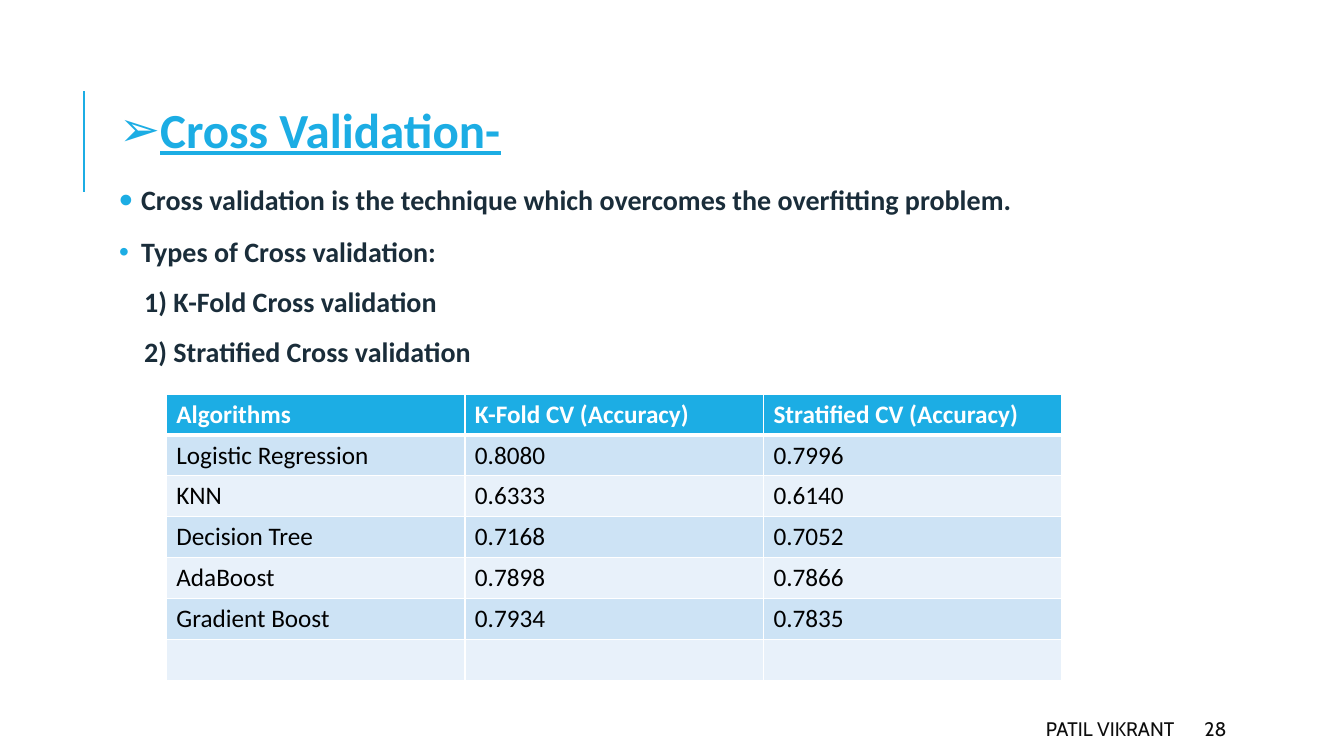
"""Build the cross validation slide with its accuracy table."""

from dataclasses import dataclass

from lxml.etree import SubElement
from pptx import Presentation
from pptx.dml.color import RGBColor
from pptx.enum.shapes import MSO_CONNECTOR
from pptx.enum.text import MSO_ANCHOR, PP_ALIGN
from pptx.oxml.ns import qn
from pptx.slide import Slide
from pptx.table import _Cell
from pptx.text.text import _Paragraph
from pptx.util import Pt

ACCENT = RGBColor(0x1C, 0xAD, 0xE4)
BODY_INK = RGBColor(0x1A, 0x2D, 0x3A)
FOOTER_INK = RGBColor(0x0D, 0x0D, 0x0D)
BLACK = RGBColor(0, 0, 0)
WHITE = RGBColor(0xFF, 0xFF, 0xFF)
DARK_BAND = RGBColor(0xCD, 0xE3, 0xF5)
LIGHT_BAND = RGBColor(0xE8, 0xF1, 0xFA)

COLUMN_WIDTH = 213.3
ROW_HEIGHT = 29.2


@dataclass
class Line:
    text: str
    margin: float
    bullet: str = ""
    bullet_percent: int = 100
    size: float = 20
    color: RGBColor = BODY_INK
    underline: bool = False
    before: float = 12
    after: float = 2


@dataclass
class Footer:
    text: str
    left: float
    width: float
    alignment: PP_ALIGN


LINES = [
    Line("Cross Validation-", 29.3, "➢", size=35, color=ACCENT, underline=True),
    Line("Cross validation is the technique which overcomes the overfitting problem.",
         15.8, "•", bullet_percent=140, before=18, after=3.5),
    Line("Types of Cross validation:", 15.8, "•"),
    Line("1) K-Fold Cross validation", 18),
    Line("2) Stratified Cross validation", 18),
]

FOOTERS = [
    Footer("PATIL VIKRANT", 381.6, 464.4, PP_ALIGN.RIGHT),
    Footer("28", 853.2, 76.3, PP_ALIGN.LEFT),
]

ACCURACIES = [
    ("Algorithms", "K-Fold CV (Accuracy)", "Stratified CV (Accuracy)"),
    ("Logistic Regression", "0.8080", "0.7996"),
    ("KNN", "0.6333", "0.6140"),
    ("Decision Tree", "0.7168", "0.7052"),
    ("AdaBoost", "0.7898", "0.7866"),
    ("Gradient Boost", "0.7934", "0.7835"),
    ("", "", ""),
]


def style_runs(paragraph: _Paragraph, name: str, size: float, color: RGBColor,
               bold: bool = False, underline: bool = False) -> None:
    for run in paragraph.runs:
        run.font.name = name
        run.font.size = Pt(size)
        run.font.color.rgb = color
        run.font.bold = bold
        run.font.underline = underline


def set_bullet(paragraph: _Paragraph, line: Line) -> None:
    properties = paragraph._p.get_or_add_pPr()
    properties.set("marL", str(Pt(line.margin)))
    if not line.bullet:
        SubElement(properties, qn("a:buNone"))
        return
    properties.set("indent", str(-Pt(line.margin)))
    color = SubElement(properties, qn("a:buClr"))
    SubElement(color, qn("a:srgbClr"), val=str(ACCENT))
    SubElement(properties, qn("a:buSzPct"), val=str(line.bullet_percent * 1000))
    SubElement(properties, qn("a:buFont"), typeface="Arial")
    SubElement(properties, qn("a:buChar"), char=line.bullet)


def add_accent_line(slide: Slide) -> None:
    connector = slide.shapes.add_connector(
        MSO_CONNECTOR.STRAIGHT, Pt(60), Pt(136.8), Pt(60), Pt(64.8))
    connector.line.color.rgb = ACCENT
    connector.line.width = Pt(1.5)
    SubElement(connector._element.spPr, qn("a:effectLst"))


def add_body(slide: Slide) -> None:
    frame = slide.shapes.add_textbox(Pt(81.4), Pt(72), Pt(785.5), Pt(389.5)).text_frame
    frame.word_wrap = True
    frame.margin_left = frame.margin_right = Pt(3.6)
    frame.margin_top = frame.margin_bottom = Pt(3.6)
    frame.text = "\n".join(line.text for line in LINES)
    for paragraph, line in zip(frame.paragraphs, LINES):
        paragraph.line_spacing = 0.9
        paragraph.space_before = Pt(line.before)
        paragraph.space_after = Pt(line.after)
        set_bullet(paragraph, line)
        style_runs(paragraph, "Calibri", line.size, line.color, True, line.underline)


def add_footer(slide: Slide, footer: Footer) -> None:
    shape = slide.shapes.add_textbox(Pt(footer.left), Pt(509.8), Pt(footer.width), Pt(21.6))
    frame = shape.text_frame
    frame.word_wrap = True
    frame.vertical_anchor = MSO_ANCHOR.MIDDLE
    frame.text = footer.text
    paragraph = frame.paragraphs[0]
    paragraph.alignment = footer.alignment
    style_runs(paragraph, "Cabin", 14, FOOTER_INK)


def set_borders(cell: _Cell, top: float, bottom: float) -> None:
    properties = cell._tc.get_or_add_tcPr()
    widths = {"a:lnL": 1, "a:lnR": 1, "a:lnT": top, "a:lnB": bottom}
    for position, (tag, width) in enumerate(widths.items()):
        border = SubElement(properties, qn(tag), w=str(Pt(width)))
        fill = SubElement(border, qn("a:solidFill"))
        SubElement(fill, qn("a:srgbClr"), val=str(WHITE))
        properties.insert(position, border)


def add_accuracy_table(slide: Slide) -> None:
    row_count, column_count = len(ACCURACIES), len(ACCURACIES[0])
    table = slide.shapes.add_table(
        row_count, column_count, Pt(118.8), Pt(281.5),
        Pt(COLUMN_WIDTH * column_count), Pt(ROW_HEIGHT * row_count)).table
    for column in table.columns:
        column.width = Pt(COLUMN_WIDTH)
    for row_index, texts in enumerate(ACCURACIES):
        table.rows[row_index].height = Pt(ROW_HEIGHT)
        header = row_index == 0
        band = DARK_BAND if row_index % 2 else LIGHT_BAND
        for column_index, text in enumerate(texts):
            cell = table.cell(row_index, column_index)
            cell.fill.solid()
            cell.fill.fore_color.rgb = ACCENT if header else band
            cell.text_frame.text = text
            style_runs(cell.text_frame.paragraphs[0], "Calibri", 18,
                       WHITE if header else BLACK, header)
            set_borders(cell, 3 if row_index == 1 else 1, 3 if header else 1)


def main() -> None:
    presentation = Presentation()
    presentation.slide_width = Pt(960)
    presentation.slide_height = Pt(540)
    slide = presentation.slides.add_slide(presentation.slide_layouts[6])
    add_accent_line(slide)
    add_body(slide)
    for footer in FOOTERS:
        add_footer(slide, footer)
    add_accuracy_table(slide)
    presentation.save("out.pptx")


if __name__ == "__main__":
    main()
